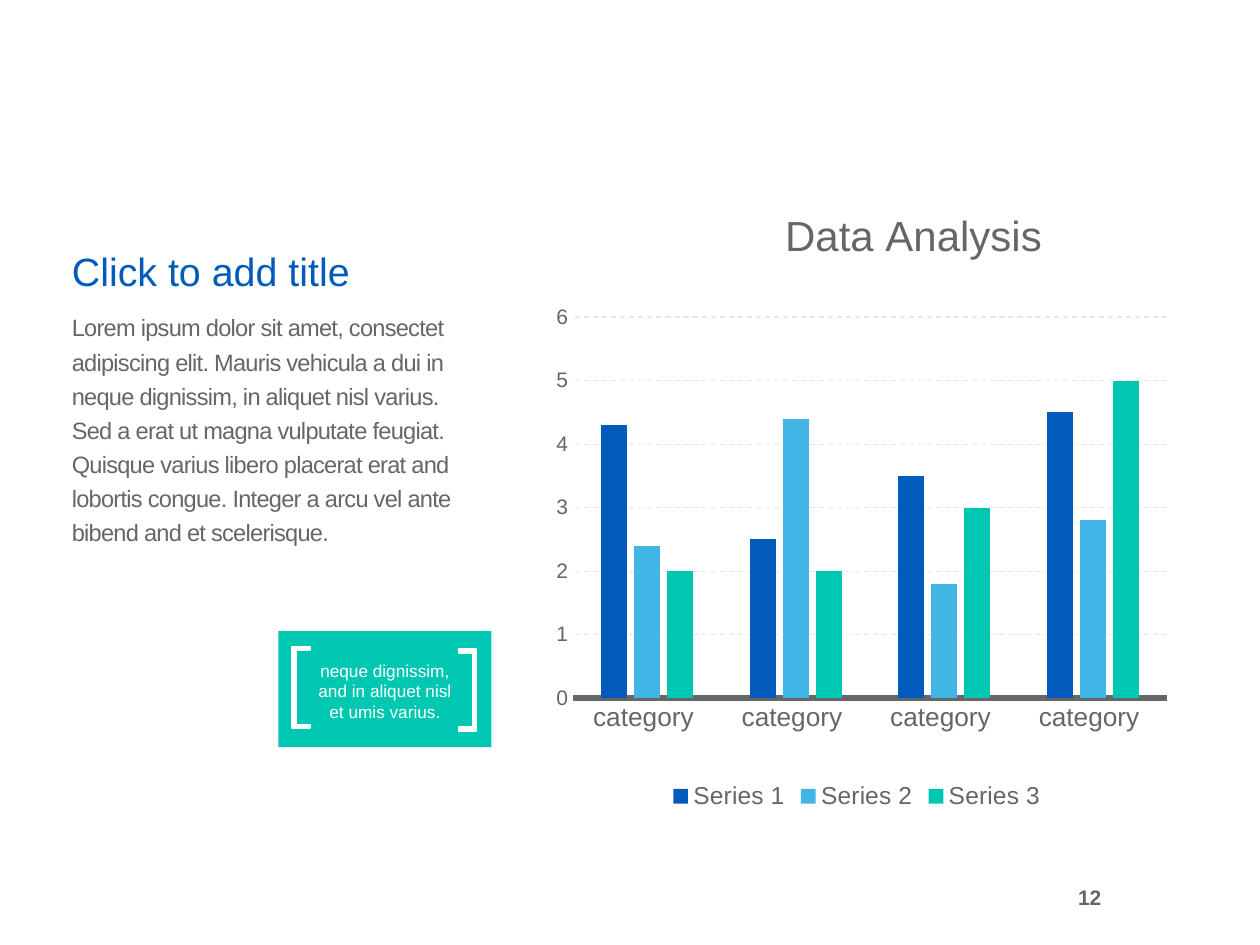
from dataclasses import dataclass

from lxml.etree import SubElement
from pptx import Presentation
from pptx.chart.data import CategoryChartData
from pptx.dml.color import RGBColor
from pptx.enum.chart import XL_CHART_TYPE as ChartType, XL_LEGEND_POSITION as LegendPos
from pptx.enum.chart import XL_TICK_MARK as Tick
from pptx.enum.dml import MSO_LINE as Dash
from pptx.enum.shapes import MSO_SHAPE as Shape
from pptx.enum.text import MSO_ANCHOR as Anchor, MSO_AUTO_SIZE as AutoSize, PP_ALIGN as Align
from pptx.oxml import parse_xml
from pptx.oxml.ns import nsdecls, qn
from pptx.util import Inches, Pt

COLORS = {"blue": "005BBB", "sky": "41B6E6", "teal": "00C7B1",
          "gray": "666666", "grid": "E8E8E8", "white": "FFFFFF"}
BODY = ("Lorem ipsum dolor sit amet, consectet adipiscing elit. Mauris vehicula a dui in "
        "neque dignissim, in aliquet nisl varius. Sed a erat ut magna vulputate feugiat. "
        "Quisque varius libero placerat erat and lobortis congue. Integer a arcu vel ante "
        "bibend and et scelerisque.")


@dataclass
class Series:
    name: str
    values: tuple
    color: str


@dataclass
class Bracket:
    outer: float
    top: float
    direction: int


SERIES = [Series("Series 1", (4.3, 2.5, 3.5, 4.5), "blue"),
          Series("Series 2", (2.4, 4.4, 1.8, 2.8), "sky"),
          Series("Series 3", (2, 2, 3, 5), "teal")]
BRACKETS = [Bracket(2.32, 5.13, 1), Bracket(3.78, 5.15, -1)]


def rgb(name: str) -> RGBColor:
    return RGBColor.from_string(COLORS[name])


def set_font(font, size: float, color: str, bold: bool = False) -> None:
    for key, value in {"name": "Arial", "size": Pt(size), "bold": bold}.items():
        setattr(font, key, value)
    font.color.rgb = rgb(color)


def place(sp, left: float, top: float, width: float, height: float) -> None:
    box = {"left": left, "top": top, "width": width, "height": height}
    for key, value in box.items():
        setattr(sp, key, Inches(value))


def write(sp, text: str, size: float, color: str, bold: bool = False, frame=None, para=None):
    tf = sp.text_frame
    tf.text = text
    p = tf.paragraphs[0]
    layout = {"word_wrap": True, "auto_size": AutoSize.NONE} | (frame or {})
    for target, values in ((tf, layout), (p, para or {})):
        for key, value in values.items():
            setattr(target, key, value)
    for r in p.runs:
        set_font(r.font, size, color, bold)
    return p


def paint(sp, color: str) -> None:
    sp.shadow.inherit = False
    sp.fill.solid()
    sp.fill.fore_color.rgb = rgb(color)


def draw_bracket(shapes, b: Bracket, width=0.14, height=0.65, stroke=0.03) -> None:
    tip, inner = b.outer + b.direction * width, b.outer + b.direction * stroke
    bottom = b.top + height
    points = [(tip, b.top), (b.outer, b.top), (b.outer, bottom), (tip, bottom),
              (tip, bottom - stroke), (inner, bottom - stroke),
              (inner, b.top + stroke), (tip, b.top + stroke)]
    start, *rest = [(Inches(x), Inches(y)) for x, y in points]
    builder = shapes.build_freeform(*start)
    builder.add_line_segments(rest, close=True)
    sp = builder.convert_to_shape()
    paint(sp, "white")
    sp.line.color.rgb = rgb("white")
    sp.line.width = Pt(1)


def set_layout(parent, before: tuple, inner: bool = False, **fractions: float) -> None:
    for old in parent.findall(qn("c:layout")):
        parent.remove(old)
    target = '<c:layoutTarget val="inner"/>' if inner else ""
    modes = "".join(f'<c:{k}Mode val="edge"/>' for k in ("x", "y"))
    values = "".join(f'<c:{k} val="{v}"/>' for k, v in fractions.items())
    layout = parse_xml(f'<c:layout {nsdecls("c")}><c:manualLayout>{target}{modes}{values}'
                       "</c:manualLayout></c:layout>")
    index = sum(child.tag in [qn(t) for t in before] for child in parent)
    parent.insert(index, layout)


def draw_chart(shapes) -> None:
    data = CategoryChartData()
    data.categories = ["category "] * 4
    for s in SERIES:
        data.add_series(s.name, s.values)
    area = [Inches(v) for v in (4.18, 1.59, 5.24, 4.88)]
    chart = shapes.add_chart(ChartType.COLUMN_CLUSTERED, *area, data).chart
    set_font(chart.font, 10, "gray")

    chart.has_title = True
    title = chart.chart_title
    title.text_frame.text = "Data Analysis"
    set_font(title.text_frame.paragraphs[0].runs[0].font, 24, "gray")
    title.include_in_layout = False
    set_layout(title._element, ("c:tx",), x=0.38, y=-0.01)
    set_layout(chart._chartSpace.chart.plotArea, (), True, x=0.07, y=0.19, w=0.9, h=0.62)

    chart.has_legend = True
    chart.legend.position = LegendPos.BOTTOM
    chart.legend.include_in_layout = False
    set_font(chart.legend.font, 14, "gray")

    plot = chart.plots[0]
    for key, value in {"gap_width": 219, "overlap": -27, "vary_by_categories": False}.items():
        setattr(plot, key, value)
    for s, series in zip(SERIES, plot.series):
        series.format.fill.solid()
        series.format.fill.fore_color.rgb = rgb(s.color)

    cat, val = chart.category_axis, chart.value_axis
    for axis, size in ((cat, 15), (val, 12)):
        axis.major_tick_mark = axis.minor_tick_mark = Tick.NONE
        set_font(axis.tick_labels.font, size, "gray")
    cat.format.line.color.rgb = rgb("gray")
    cat.format.line.width = Pt(3.25)
    scale = {"minimum_scale": 0, "maximum_scale": 6, "major_unit": 1, "has_major_gridlines": True}
    for key, value in scale.items():
        setattr(val, key, value)
    val.format.line.fill.background()
    grid = val.major_gridlines.format.line
    grid.color.rgb = rgb("grid")
    grid.width = Pt(0.75)
    grid.dash_style = Dash.DASH


def main() -> None:
    """Build the data analysis slide and save it."""
    prs = Presentation()
    prs.slide_width, prs.slide_height = Inches(10), Inches(7.5)
    slide = prs.slides.add_slide(prs.slide_layouts[1])
    shapes = slide.shapes

    draw_chart(shapes)

    body = slide.placeholders[1]
    place(body, 0.47, 2.39, 3.28, 3.03)
    p = write(body, BODY, 13.5, "gray",
              para={"line_spacing": Pt(19.5), "space_before": Pt(0)})
    props = p._p.get_or_add_pPr()
    props.set("marL", "0")
    props.set("indent", "0")
    SubElement(props, qn("a:buNone"))
    p.runs[0].font._element.set("spc", "-40")

    place(shapes.title, 0.47, 1.44, 3.72, 0.95)
    write(shapes.title, "Click to add title", 22.5, "blue",
          frame={"vertical_anchor": Anchor.BOTTOM},
          para={"alignment": Align.LEFT, "line_spacing": 0.9})

    panel = shapes.add_shape(Shape.RECTANGLE, *[Inches(v) for v in (2.21, 5.01, 1.69, 0.92)])
    paint(panel, "teal")
    panel.line.fill.background()
    for b in BRACKETS:
        draw_bracket(shapes, b)

    quote = shapes.add_textbox(*[Inches(v) for v in (2.41, 5.19, 1.29, 0.59)])
    write(quote, "neque dignissim, and in aliquet nisl et umis varius.", 9.8, "white",
          frame={"auto_size": AutoSize.SHAPE_TO_FIT_TEXT}, para={"alignment": Align.CENTER})

    number = shapes.add_textbox(*[Inches(v) for v in (8.25, 6.83, 0.59, 0.58)])
    write(number, "12", 12, "gray", True,
          frame={"vertical_anchor": Anchor.MIDDLE}, para={"alignment": Align.RIGHT})

    prs.save("out.pptx")


if __name__ == "__main__":
    main()
